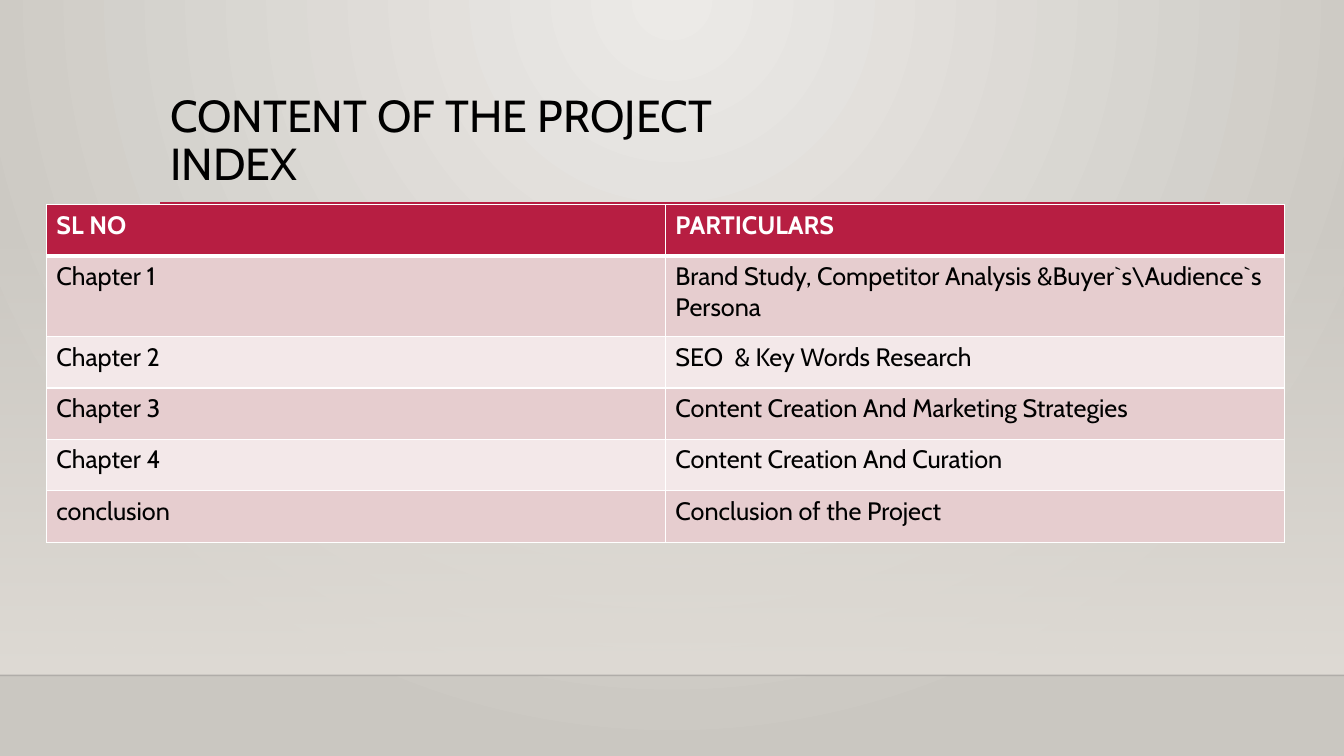
from pptx import Presentation
from pptx.dml.color import RGBColor
from pptx.enum.shapes import MSO_CONNECTOR, MSO_SHAPE
from pptx.enum.text import MSO_ANCHOR
from pptx.oxml import parse_xml
from pptx.oxml.ns import nsdecls, qn
from pptx.util import Inches, Pt
from lxml.etree import SubElement

RED, WHITE, BLACK, SAND = "B71E42", "FFFFFF", "000000", "DFDBD5"
BANDS = ["E6CDCF", "F3E8E9"]


def tint(code):
    return RGBColor.from_string(code)


def style(frame, size, code, bold=False):
    for para in frame.paragraphs:
        for run in para.runs:
            run.font.name = "Cabin"
            run.font.size = Pt(size)
            run.font.bold = bold
            run.font.color.rgb = tint(code)


deck = Presentation()
deck.slide_width, deck.slide_height = Inches(13.33), Inches(7.5)
wide = deck.slide_width
slide = deck.slides.add_slide(deck.slide_layouts[6])
shapes = slide.shapes

# Background: glow from the top centre
back = slide.background.fill
back.gradient()
for stop, code in zip(back.gradient_stops, ["ECEAE7", "CAC7C1"]):
    stop.color.rgb = tint(code)
lin = next(slide.element.iter(qn("a:lin")))
lin.getparent().replace(lin, parse_xml(
    f'<a:path {nsdecls("a")} path="circle">'
    '<a:fillToRect l="43000" t="0" r="43000" b="100000"/></a:path>'))

# Wall that fades in towards the floor
floor = Inches(6.7)
top = Inches(2.21)
wall = shapes.add_shape(MSO_SHAPE.RECTANGLE, 0, top, wide, floor - top)
wall.shadow.inherit = False
wall.line.fill.background()
wall.fill.gradient()
wall.fill.gradient_angle = 270
for stop in wall.fill.gradient_stops:
    stop.color.rgb = tint(SAND)

# Floor edge and title rule
left, right, rule = Inches(1.59), Inches(12.1), Inches(2.02)
lines = []
for x1, x2, y, code, size in [(0, wide, floor, "000001", 1),
                              (left, right, rule, RED, 2.5)]:
    line = shapes.add_connector(MSO_CONNECTOR.STRAIGHT, x1, y, x2, y)
    line.line.color.rgb = tint(code)
    line.line.width = Pt(size)
    SubElement(line.element.spPr, qn("a:effectLst"))
    lines.append(line)

# Transparency of the wall's top and the floor edge
for shape, share in [(wall, 0), (lines[0], 20)]:
    color = next(shape.element.iter(qn("a:srgbClr")))
    SubElement(color, qn("a:alpha")).set("val", str(share * 1000))

# Title
title = shapes.add_textbox(left, Inches(0.88), Inches(10.5), Inches(1.15))
frame = title.text_frame
frame.word_wrap = True
frame.vertical_anchor = MSO_ANCHOR.TOP
frame.text = "CONTENT OF THE PROJECT\vINDEX"
frame.paragraphs[0].line_spacing = 0.9
style(frame, 32, BLACK)

# Index table
rows = [
    ("SL NO", "PARTICULARS"),
    ("Chapter 1",
     "Brand Study, Competitor Analysis &Buyer`s\\Audience`s Persona"),
    ("Chapter 2", "SEO  & Key Words Research"),
    ("Chapter 3", "Content Creation And Marketing Strategies"),
    ("Chapter 4", "Content Creation And Curation"),
    ("conclusion", "Conclusion of the Project"),
]
table = shapes.add_table(len(rows), 2, Inches(0.46), Inches(2.03),
                         Inches(12.28), Inches(3.35)).table
for r, row in enumerate(rows):
    head = r == 0
    table.rows[r].height = Inches(0.8 if r == 1 else 0.51)
    for c, text in enumerate(row):
        cell = table.cell(r, c)
        cell.text = text
        style(cell.text_frame, 18, WHITE if head else BLACK, head)
        cell.fill.solid()
        cell.fill.fore_color.rgb = tint(RED if head else BANDS[(r - 1) % 2])
        # White borders, thick below the header
        props = cell._tc.get_or_add_tcPr()
        for i, side in enumerate("LRTB"):
            thick = (r, side) in [(0, "B"), (1, "T")]
            props.insert(i, parse_xml(
                f'<a:ln{side} {nsdecls("a")} w="{Pt(3 if thick else 1)}">'
                f'<a:solidFill><a:srgbClr val="{WHITE}"/></a:solidFill>'
                f'</a:ln{side}>'))

deck.save("out.pptx")
